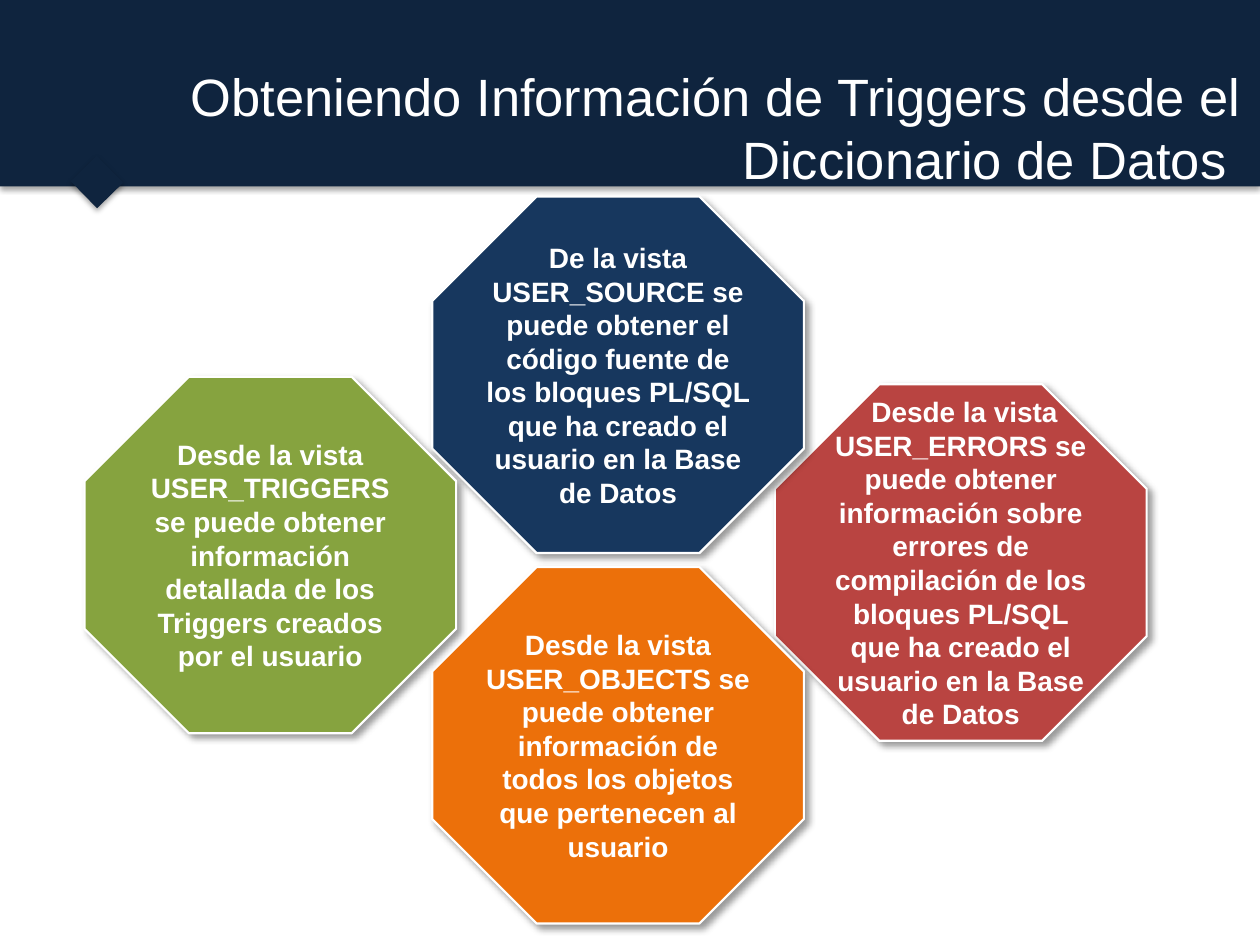
from lxml import etree
from pptx import Presentation, util as u
from pptx.dml.color import RGBColor
from pptx.enum import shapes, text
from pptx.oxml.ns import qn

deck = Presentation()
deck.slide_width, deck.slide_height = u.Inches(10), u.Inches(7.5)
page = deck.slides.add_slide(deck.slide_layouts[6])
column, row = deck.slide_width / 100, deck.slide_height / 75
NAVY, WHITE = "0F243E", "FFFFFF"


def color(value):
    return RGBColor.from_string(value)


def add_block(kind, left, top, width, height, fill, opacity, blur, distance, angle):
    block = page.shapes.add_shape(
        kind, *(round(n) for n in (left * column, top * row, width * column, height * row)))
    block.fill.solid()
    block.fill.fore_color.rgb = color(fill)
    block.line.fill.background()
    block.shadow.inherit = False
    effects = block._element.spPr.find(qn("a:effectLst"))
    shadow = etree.SubElement(
        effects, qn("a:outerShdw"), blurRad=str(u.Pt(blur)), dist=str(u.Pt(distance)),
        dir=str(angle * 60000), algn="ctr", rotWithShape="0")
    black = etree.SubElement(shadow, qn("a:srgbClr"), val="000000")
    etree.SubElement(black, qn("a:alpha"), val=str(opacity * 1000))
    return block


soft_shadow = (35, 3.1, 1.8, 90)
add_block(shapes.MSO_SHAPE.RECTANGLE, 0, 0, 100, 14.8, NAVY, *soft_shadow)
pointer = add_block(shapes.MSO_SHAPE.RECTANGLE, 6.2, 13, 3, 2.9, NAVY, *soft_shadow)
pointer.rotation = 45.6

title = page.shapes.add_textbox(
    round(3.5 * column), round(2.1 * row), round(96 * column), round(16 * row))
title.text_frame.word_wrap = True
title.text_frame.vertical_anchor = text.MSO_ANCHOR.MIDDLE
para = title.text_frame.paragraphs[0]
para.text = "Obteniendo Información de Triggers desde el Diccionario de Datos "
para.alignment = text.PP_ALIGN.RIGHT
para.font.name, para.font.size = "Arial", u.Pt(30)
para.font.color.rgb = color(WHITE)

views = [
    (61.5, 30.5, "B94441",
     " Desde la vista USER_ERRORS se puede obtener información sobre errores de compilación "
     "de los bloques PL/SQL que ha creado el usuario en la Base de Datos"),
    (34.3, 15.6, "17375E",
     "De la vista USER_SOURCE se puede obtener el código fuente de los bloques PL/SQL "
     "que ha creado el usuario en la Base de Datos"),
    (34.3, 45, "EC700A",
     "Desde la vista USER_OBJECTS se puede obtener información de todos los objetos "
     "que pertenecen al usuario"),
    (6.7, 29.9, "86A33F",
     "Desde la vista USER_TRIGGERS se puede obtener información detallada de los Triggers "
     "creados por el usuario"),
]
for left, top, fill, words in views:
    octagon = add_block(shapes.MSO_SHAPE.OCTAGON, left, top, 29.5, 28.3, fill, 40, 4, 3, 45)
    octagon.line.color.rgb = color(WHITE)
    octagon.line.width = u.Pt(1.25)
    frame = octagon.text_frame
    frame.word_wrap = True
    frame.vertical_anchor = text.MSO_ANCHOR.MIDDLE
    frame.margin_left = frame.margin_right = frame.margin_top = frame.margin_bottom = 0
    para = frame.paragraphs[0]
    para.text = words
    para.alignment = text.PP_ALIGN.CENTER
    para.font.name, para.font.size, para.font.bold = "Arial", u.Pt(16), True
    para.font.color.rgb = color(WHITE)

deck.save("out.pptx")
